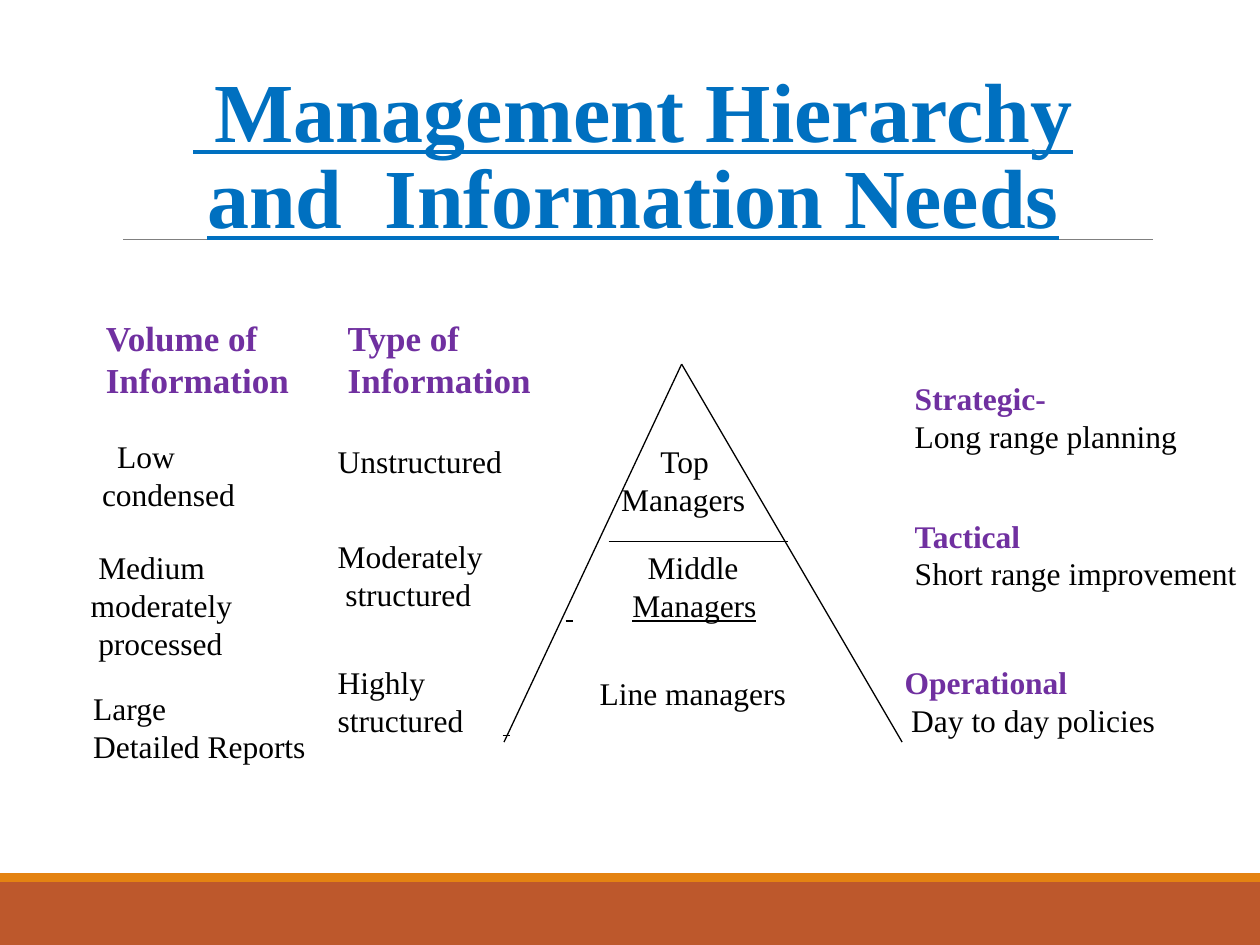
from lxml import etree
from pptx import Presentation
from pptx.dml.color import RGBColor
from pptx.enum.shapes import MSO_CONNECTOR, MSO_SHAPE
from pptx.enum.text import MSO_ANCHOR, MSO_AUTO_SIZE, PP_ALIGN
from pptx.oxml.ns import qn
from pptx.util import Inches, Pt

STRAIGHT = MSO_CONNECTOR.STRAIGHT
RECTANGLE = MSO_SHAPE.RECTANGLE
BOTTOM = MSO_ANCHOR.BOTTOM
NO_AUTOFIT = MSO_AUTO_SIZE.NONE
CENTER = PP_ALIGN.CENTER

BLACK = RGBColor(0x00, 0x00, 0x00)
GREY = RGBColor(0x80, 0x80, 0x80)
BLUE = RGBColor(0x00, 0x70, 0xC0)
PURPLE = RGBColor(0x70, 0x30, 0xA0)
ORANGE = RGBColor(0xE4, 0x83, 0x12)
RUST = RGBColor(0xBD, 0x58, 0x2C)
FONT = "Times New Roman"

APEX = (5.41, 2.89)
PYRAMID_LINES = [
    (APEX, (4, 5.89)),
    (APEX, (7.16, 5.89)),
    ((4.83, 4.3), (6.25, 4.3)),
]
COLUMN_HEADINGS = [
    ((0.83, 2.51, 1.48, 0.68), ["Volume of", "Information"]),
    ((2.75, 2.51, 1.48, 0.68), ["Type of", "Information"]),
]
# fmt: each label is a position, its lines and the left indent of every line
LABELS = [
    ((0.8, 3.47, 1.08, 0.88), ["Low", "condensed"], [0.13, 0.01]),
    ((0.71, 4.35, 1.15, 0.88), ["Medium", "moderately", "processed"], [0.07, 0.01, 0.07]),
    ((0.73, 5.47, 1.72, 0.88), ["Large", "Detailed Reports"], [0.01, 0.01]),
    ((2.67, 3.51, 1.33, 0.58), ["Unstructured"], [0.01]),
    ((2.67, 4.26, 1.18, 0.88), ["Moderately", "structured"], [0.01, 0.07]),
    ((2.67, 5.26, 1.03, 0.88), ["Highly", "structured"], [0.01, 0.01]),
    ((4.92, 3.51, 1.01, 0.87), ["Top", "Managers"], [0.32, 0.01]),
    ((4.75, 5.35, 1.51, 0.58), ["Line managers"], [0.01]),
]
PLANNING_LEVELS = [
    ((7.25, 3.01, 2.11, 0.87), ["Strategic-", "Long range planning"]),
    ((7.25, 4.1, 2.58, 0.88), ["Tactical", "Short range improvement"]),
    ((7.17, 5.26, 1.32, 0.31), ["Operational"]),
]


def style_font(font, size, color, bold=False, underline=None):
    """Apply the slide's typeface with the given look."""
    font.name = FONT
    font.size = Pt(size)
    font.color.rgb = color
    font.bold = bold
    font.underline = underline


def add_band(page, top, height, color):
    """Add a full-width footer band."""
    band = page.shapes.add_shape(RECTANGLE, 0, Inches(top), Inches(10), Inches(height))
    band.shadow.inherit = False
    band.fill.solid()
    band.fill.fore_color.rgb = color
    band.line.fill.background()


def add_line(page, start, end, color=BLACK, width=0.75):
    """Add a straight line without a shadow."""
    ends = [Inches(value) for value in (*start, *end)]
    line = page.shapes.add_connector(STRAIGHT, *ends)
    line.line.color.rgb = color
    line.line.width = Pt(width)
    etree.SubElement(line.element.spPr, qn("a:effectLst"))


def add_label(page, position, lines, indents=None, size=18, colors=None):
    """Add a text box with one paragraph per line; purple lines are bold."""
    indents = indents or [0.01] * len(lines)
    colors = colors or [BLACK] * len(lines)
    box = page.shapes.add_textbox(*[Inches(value) for value in position])
    frame = box.text_frame
    frame.word_wrap = True
    frame.margin_left = frame.margin_top = frame.margin_right = frame.margin_bottom = 0
    frame.text = "\n".join(lines)
    for para, indent, color in zip(frame.paragraphs, indents, colors):
        para._p.get_or_add_pPr().set("marL", str(Inches(indent)))
        style_font(para.font, size, color, bold=color == PURPLE)
    return frame.paragraphs


def add_tab_stops(para, *positions):
    """Give a paragraph left-aligned tab stops."""
    properties = para._p.get_or_add_pPr()
    stops = etree.Element(qn("a:tabLst"))
    for position in positions:
        etree.SubElement(stops, qn("a:tab"), pos=str(Inches(position)), algn="l")
    properties.find(qn("a:defRPr")).addprevious(stops)


def add_title(page):
    """Fill and place the title placeholder in front of the rule."""
    title = page.shapes.title
    title.left, title.top = Inches(0.9), Inches(0.41)
    title.width, title.height = Inches(8.25), Inches(1.59)
    frame = title.text_frame
    frame.text = " Management Hierarchy and  Information Needs"
    frame.word_wrap = True
    frame.auto_size = NO_AUTOFIT
    frame.vertical_anchor = BOTTOM
    para = frame.paragraphs[0]
    para.alignment = CENTER
    para.line_spacing = 0.85
    style_font(para.font, 48, BLUE, bold=True, underline=True)
    title.element.getparent().append(title.element)


def add_tabbed_labels(page):
    """Add the two labels whose text is set with underlined tabs."""
    middle = add_label(page, (4.48, 4.35, 2.2, 0.58), ["Middle", " \tManagers\t"], [0.66, 0.01])
    add_tab_stops(middle[1], 0.53, 2.18)
    middle[1].font.underline = True

    policies = add_label(page, (3.98, 5.56, 5.21, 0.31), [" \t"])[0]
    add_tab_stops(policies, 3.18)
    policies.runs[0].font.underline = True
    policies.add_run().text = " Day to day policies"


def main():
    """Build the management hierarchy slide."""
    deck = Presentation()
    deck.slide_width, deck.slide_height = Inches(10), Inches(7.5)
    page = deck.slides.add_slide(deck.slide_layouts[5])

    add_band(page, 7, 0.5, RUST)
    add_band(page, 6.93, 0.07, ORANGE)
    add_line(page, (0.98, 1.9), (9.15, 1.9), GREY, 0.5)
    add_title(page)

    for start, end in PYRAMID_LINES:
        add_line(page, start, end)
    for position, lines in COLUMN_HEADINGS:
        add_label(page, position, lines, size=20, colors=[PURPLE, PURPLE])
    for position, lines, indents in LABELS:
        add_label(page, position, lines, indents)
    for position, lines in PLANNING_LEVELS:
        add_label(page, position, lines, colors=[PURPLE, BLACK])
    add_tabbed_labels(page)

    deck.save("out.pptx")


if __name__ == "__main__":
    main()
